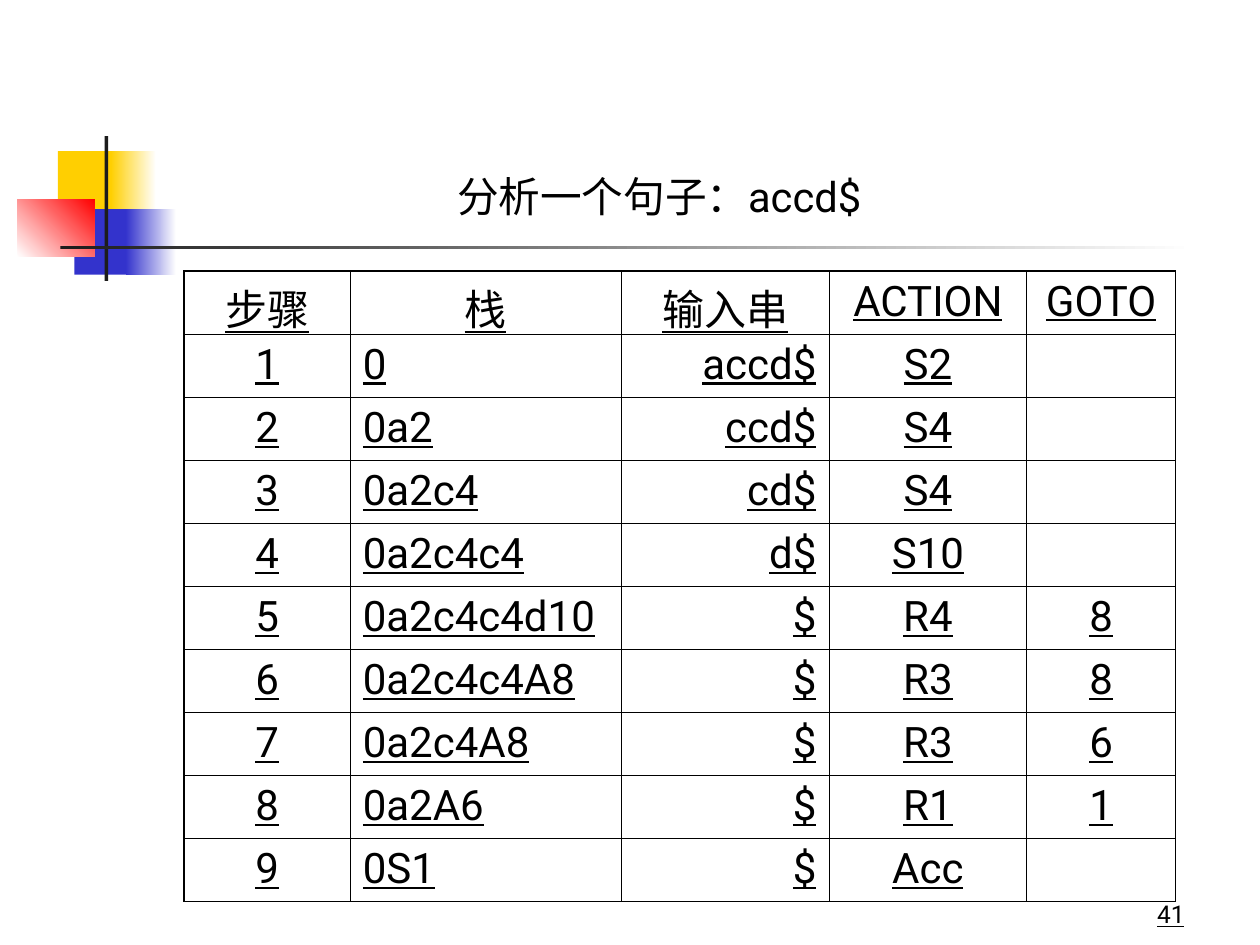
from lxml import etree
from pptx import Presentation
from pptx.dml.color import RGBColor
from pptx.enum.shapes import MSO_SHAPE
from pptx.enum.text import MSO_ANCHOR, PP_ALIGN
from pptx.oxml.ns import qn
from pptx.util import Inches, Pt

RECTANGLE = MSO_SHAPE.RECTANGLE
BOTTOM = MSO_ANCHOR.BOTTOM
LEFT, CENTER, RIGHT = PP_ALIGN.LEFT, PP_ALIGN.CENTER, PP_ALIGN.RIGHT

FONT = "Roboto"
COLORS = {
    "yellow": "FFCF01",
    "blue": "3333CC",
    "red": "FF0000",
    "dark": "1C1C1C",
    "white": "FFFFFF",
    "black": "000000",
}


def add_text(paragraph, text, size, underline):
    run = paragraph.add_run()
    run.text = text
    run.font.name = FONT
    run.font.size = Pt(size)
    run.font.color.rgb = RGBColor.from_string(COLORS["black"])
    if underline:
        run.font.underline = True


def add_border(cell, side, width):
    line = etree.SubElement(cell._tc.get_or_add_tcPr(), qn(f"a:ln{side}"), w=str(Pt(width)))
    fill = etree.SubElement(line, qn("a:solidFill"))
    etree.SubElement(fill, qn("a:srgbClr"), val=COLORS["black"])


prs = Presentation()
prs.slide_width = Inches(10)
prs.slide_height = Inches(7.5)
slide = prs.slides.add_slide(prs.slide_layouts[6])

ornaments = [
    (0.46, 1.2, 0.48, 0.52, ["yellow"], 0),
    (0.88, 1.2, 0.36, 0.52, ["yellow", "white"], 0),
    (0.59, 1.66, 0.46, 0.52, ["blue"], 0),
    (1, 1.66, 0.4, 0.52, ["blue", "white"], 0),
    (0.14, 1.58, 0.61, 0.46, ["white", "red"], 45),
    (0.83, 1.08, 0.03, 1.15, ["dark"], 0),
    (0.48, 1.95, 9, 0.03, ["dark", "white"], 0),
]
for left, top, width, height, tones, angle in ornaments:
    ornament = slide.shapes.add_shape(
        RECTANGLE, Inches(left), Inches(top), Inches(width), Inches(height)
    )
    ornament.shadow.inherit = False
    ornament.line.fill.background()
    if len(tones) == 1:
        ornament.fill.solid()
        ornament.fill.fore_color.rgb = RGBColor.from_string(COLORS[tones[0]])
    else:
        ornament.fill.gradient()
        ornament.fill.gradient_angle = angle
        for stop, tone in zip(ornament.fill.gradient_stops, tones):
            stop.color.rgb = RGBColor.from_string(COLORS[tone])

page_number = slide.shapes.add_textbox(Inches(7.42), Inches(6.92), Inches(2.08), Inches(0.5)).text_frame
page_number.word_wrap = True
page_number.vertical_anchor = BOTTOM
page_number.paragraphs[0].alignment = RIGHT
add_text(page_number.paragraphs[0], "41", 14, True)

heading = slide.shapes.add_textbox(Inches(2.87), Inches(1.31), Inches(4.96), Inches(0.53)).text_frame
heading.word_wrap = True
sentence = heading.paragraphs[0]
sentence.space_before = Pt(7)
sentence._p.get_or_add_pPr().set("marL", str(Inches(0.66)))
add_text(sentence, "分析一个句子：accd$", 23.8, False)

steps = [
    ("步骤", "栈", "输入串", "ACTION", "GOTO"),
    ("1", "0", "accd$", "S2", ""),
    ("2", "0a2", "ccd$", "S4", ""),
    ("3", "0a2c4", "cd$", "S4", ""),
    ("4", "0a2c4c4", "d$", "S10", ""),
    ("5", "0a2c4c4d10", "$", "R4", "8"),
    ("6", "0a2c4c4A8", "$", "R3", "8"),
    ("7", "0a2c4A8", "$", "R3", "6"),
    ("8", "0a2A6", "$", "R1", "1"),
    ("9", "0S1", "$", "Acc", ""),
]
column_widths = [1.32, 2.15, 1.65, 1.57, 1.18]
column_alignments = [CENTER, LEFT, RIGHT, CENTER, CENTER]
last_row, last_column = len(steps) - 1, len(column_widths) - 1
OUTER, INNER = 1.08, 0.45

parse_table = slide.shapes.add_table(
    len(steps), len(column_widths), Inches(1.46), Inches(2.15), Inches(7.87), Inches(5)
).table
parse_table.first_row = False
parse_table.horz_banding = False
for column, width in zip(parse_table.columns, column_widths):
    column.width = Inches(width)

for r, step in enumerate(steps):
    parse_table.rows[r].height = Inches(0.5)
    for c, value in enumerate(step):
        cell = parse_table.cell(r, c)
        edges = {"L": c == 0, "R": c == last_column, "T": r == 0, "B": r == last_row}
        for side, is_outer in edges.items():
            add_border(cell, side, OUTER if is_outer else INNER)
        cell.fill.background()
        if value:
            entry = cell.text_frame.paragraphs[0]
            entry.alignment = CENTER if r == 0 else column_alignments[c]
            entry.space_before = Pt(6)
            add_text(entry, value, 24, True)

prs.save("out.pptx")
